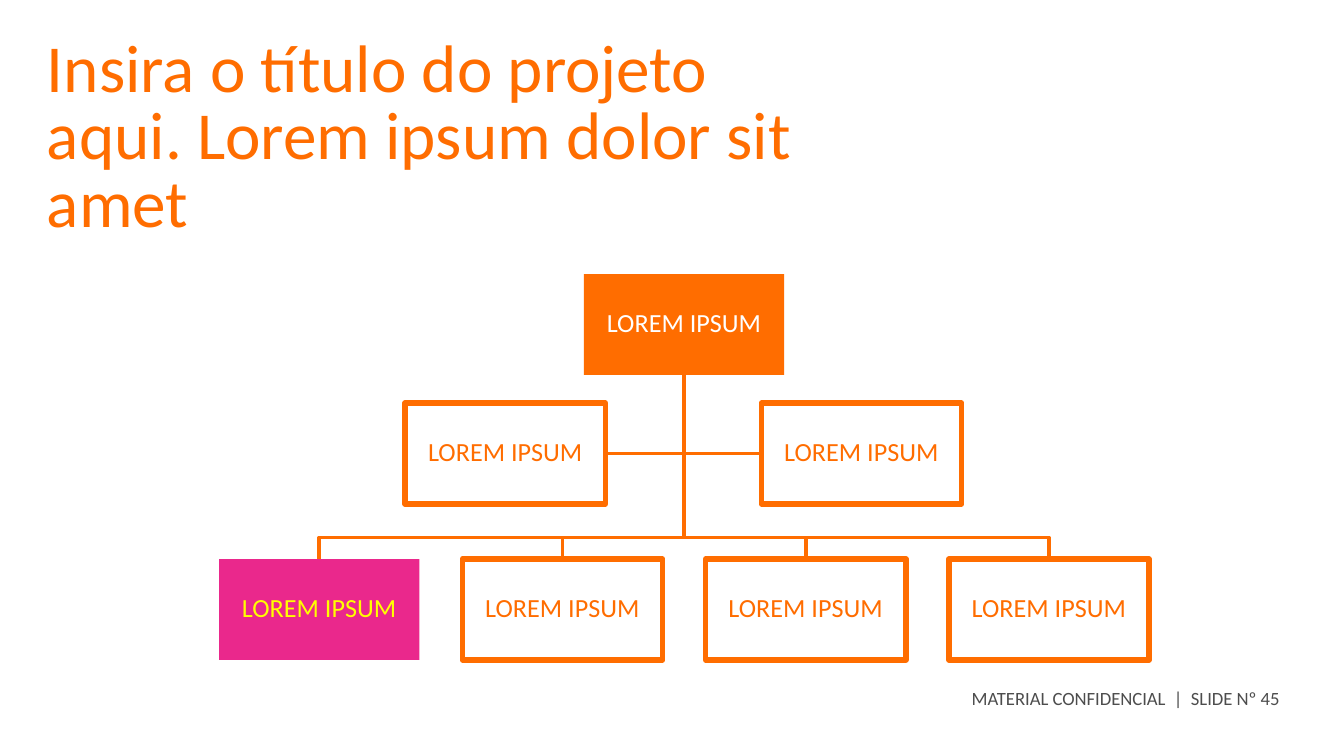
"""Build an organisation chart slide with a title and a footer."""
from pptx import Presentation
from pptx.dml.color import RGBColor
from pptx.enum.shapes import MSO_SHAPE
from pptx.enum.text import MSO_ANCHOR, PP_ALIGN
from pptx.util import Inches, Pt

RECT = MSO_SHAPE.RECTANGLE
MIDDLE = MSO_ANCHOR.MIDDLE
TOP = MSO_ANCHOR.TOP
LEFT = PP_ALIGN.LEFT
CENTER = PP_ALIGN.CENTER

ORANGE = RGBColor(0xFF, 0x6D, 0x00)
PINK = RGBColor(0xEA, 0x28, 0x8C)
YELLOW = RGBColor(0xFF, 0xFF, 0x00)
WHITE = RGBColor(0xFF, 0xFF, 0xFF)
GRAY = RGBColor(0x4D, 0x4D, 0x4D)

FONT = "Calibri"
LABEL = "LOREM IPSUM"
WIDE, HIGH = 1.49, 0.75
AXIS = 5.09
HEAD_Y, SIDE_Y, TEAM_Y = 2.04, 3, 4.16
BUS_Y = 4
SIDES = (-1.33, 1.32)
PITCH = 1.81


def write(frame, text, size, color, align=LEFT, anchor=TOP, inset=0, line=None):
    frame.word_wrap = True
    frame.vertical_anchor = anchor
    frame.margin_left = frame.margin_right = Inches(inset)
    frame.margin_top = frame.margin_bottom = Inches(inset)
    para = frame.paragraphs[0]
    para.alignment = align
    if line:
        para.line_spacing = Pt(line)
    run = para.add_run()
    run.text = text
    run.font.name = FONT
    run.font.size = Pt(size)
    run.font.color.rgb = color


def add_text(slide, x, y, w, h, text, **style):
    box = slide.shapes.add_textbox(Inches(x), Inches(y), Inches(w), Inches(h))
    write(box.text_frame, text, **style)


def add_box(slide, mid, y, fill=None, color=ORANGE):
    box = slide.shapes.add_shape(
        RECT, Inches(mid - WIDE / 2), Inches(y), Inches(WIDE), Inches(HIGH))
    box.shadow.inherit = False
    if fill is None:
        box.fill.background()
        box.line.color.rgb = ORANGE
        box.line.width = Pt(3)
    else:
        box.fill.solid()
        box.fill.fore_color.rgb = fill
        box.line.fill.background()
    write(box.text_frame, LABEL, size=14, color=color, align=CENTER,
          anchor=MIDDLE, inset=0.01, line=14)


def add_link(slide, *points):
    start, *rest = [(Inches(x), Inches(y)) for x, y in points]
    pen = slide.shapes.build_freeform(*start)
    pen.add_line_segments(rest, close=False)
    link = pen.convert_to_shape()
    link.shadow.inherit = False
    link.fill.background()
    link.line.color.rgb = ORANGE
    link.line.width = Pt(2)


def add_chart(slide):
    root = (AXIS, HEAD_Y + HIGH)
    side_mid = SIDE_Y + HIGH / 2
    team = [AXIS + (i - 1.5) * PITCH for i in range(4)]
    for step in SIDES:
        edge = AXIS + step - WIDE / 2 * (1 if step > 0 else -1)
        add_link(slide, root, (AXIS, side_mid), (edge, side_mid))
    for mid in team:
        add_link(slide, root, (AXIS, BUS_Y), (mid, BUS_Y), (mid, TEAM_Y))

    add_box(slide, AXIS, HEAD_Y, fill=ORANGE, color=WHITE)
    add_box(slide, team[0], TEAM_Y, fill=PINK, color=YELLOW)
    for mid in team[1:]:
        add_box(slide, mid, TEAM_Y)
    for step in SIDES:
        add_box(slide, AXIS + step, SIDE_Y)


def main():
    deck = Presentation()
    deck.slide_width = Inches(10)
    deck.slide_height = Inches(10 * 9 / 16)
    slide = deck.slides.add_slide(deck.slide_layouts[6])
    add_text(slide, 7.23, 5.11, 2.33, 0.3,
             "MATERIAL CONFIDENCIAL  |  SLIDE Nº 45", size=10, color=GRAY)
    add_text(slide, 0.35, 0.29, 5.64, 1.44,
             "Insira o título do projeto aqui. Lorem ipsum dolor sit amet",
             size=36, color=ORANGE, line=36)
    add_chart(slide)
    deck.save("out.pptx")


if __name__ == "__main__":
    main()
